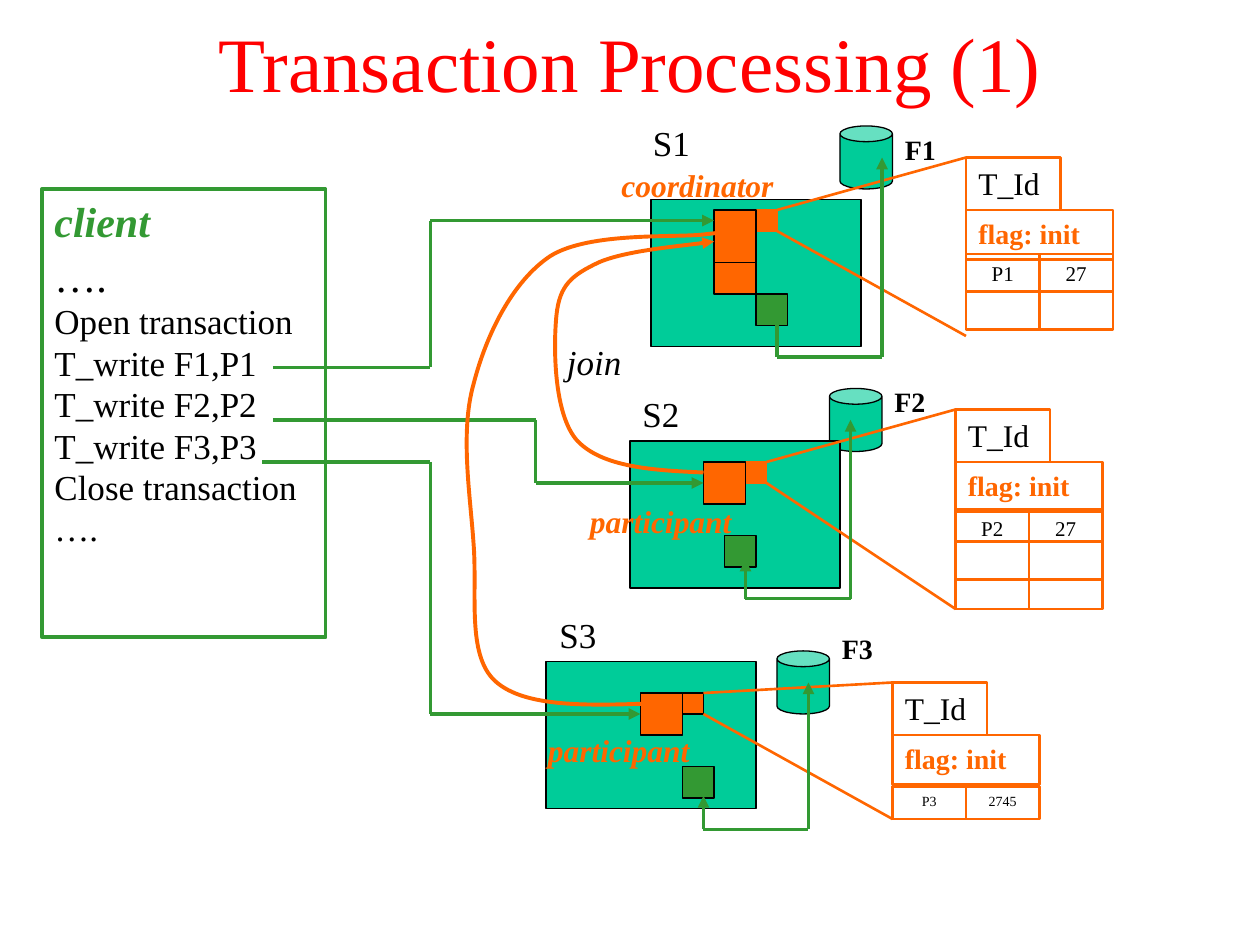
"""Build the Transaction Processing slide: a client, three servers and their files."""
from itertools import pairwise

from lxml import etree
from pptx import Presentation
from pptx.dml.color import RGBColor
from pptx.enum.shapes import MSO_CONNECTOR, MSO_SHAPE
from pptx.enum.text import MSO_ANCHOR, PP_ALIGN
from pptx.oxml.ns import qn
from pptx.util import Pt

PX = 7620
FONT = "Times New Roman"
RED = RGBColor(0xFF, 0x00, 0x00)
ORANGE = RGBColor(0xFF, 0x66, 0x00)
GREEN = RGBColor(0x33, 0x99, 0x33)
TEAL = RGBColor(0x00, 0xCC, 0x99)
BLACK = RGBColor(0x00, 0x00, 0x00)
RECTANGLE, CAN = MSO_SHAPE.RECTANGLE, MSO_SHAPE.CAN
STRAIGHT = MSO_CONNECTOR.STRAIGHT
LEFT, CENTER = PP_ALIGN.LEFT, PP_ALIGN.CENTER
TOP, MIDDLE = MSO_ANCHOR.TOP, MSO_ANCHOR.MIDDLE

presentation = Presentation()
presentation.slide_width = 1200 * PX
presentation.slide_height = 900 * PX
slide = presentation.slides.add_slide(presentation.slide_layouts[5])
shapes = slide.shapes


def add_box(left, top, width, height, kind=RECTANGLE, fill=None, outline=None, weight=0.75,
            text="", size=18, color=BLACK, bold=False, italic=False, align=LEFT, wrap=True):
    bounds = [length * PX for length in (left, top, width, height)]
    if outline is None:
        shape = shapes.add_textbox(*bounds)
    else:
        shape = shapes.add_shape(kind, *bounds)
        shape.shadow.inherit = False
        shape.line.color.rgb = outline
        shape.line.width = Pt(weight)
        if fill is None:
            shape.fill.background()
        else:
            shape.fill.solid()
            shape.fill.fore_color.rgb = fill
    frame = shape.text_frame
    frame.word_wrap = wrap
    frame.vertical_anchor = TOP
    frame.text = text
    for paragraph in frame.paragraphs:
        paragraph.alignment = align
        font = paragraph.font
        font.name, font.size, font.color.rgb = FONT, Pt(size), color
        font.bold, font.italic = bold, italic
    return shape


def add_line(start, end, color, weight, arrow=False):
    line = shapes.add_connector(STRAIGHT, *[length * PX for length in (*start, *end)])
    line.line.color.rgb = color
    line.line.width = Pt(weight)
    if arrow:
        etree.SubElement(line.line._get_or_add_ln(), qn("a:tailEnd"), type="triangle")
    etree.SubElement(line._element.spPr, qn("a:effectLst"))
    return line


title = shapes.title
title.left, title.top, title.width, title.height = 0, 4 * PX, 1200 * PX, 110 * PX
title.text_frame.text = "Transaction Processing (1)"
title.text_frame.vertical_anchor = MIDDLE
heading = title.text_frame.paragraphs[0]
heading.alignment = CENTER
heading.font.name, heading.font.size, heading.font.color.rgb = FONT, Pt(44), RED

client_lines = ["client", "….", "Open transaction", "T_write F1,P1", "T_write F2,P2",
                "T_write F3,P3", "Close transaction", "…."]
client = add_box(40, 180, 270, 427, outline=GREEN, weight=2.25,
                 text="\n".join(client_lines), size=20)
client_name, first_dots, *steps = client.text_frame.paragraphs
client_name.font.size = first_dots.font.size = Pt(24)
client_name.font.bold = client_name.font.italic = True
client_name.font.color.rgb = GREEN
for paragraph in (first_dots, *steps):
    paragraph.line_spacing = 0.55
    paragraph.space_before = Pt(10.5)
first_dots.space_before = Pt(14)

servers = [
    dict(name="S1", name_at=(610, 110), box=(620, 190), can=(800, 120),
         file="F1", file_at=(850, 120), role="coordinator", role_at=(580, 152),
         block=(680, 200), block_height=50, tag_outline=ORANGE, store=(720, 280),
         record=(920, 150), zoom_end=320, cells_top=242, rows=(36, 36),
         values=("P1", "27"), value_size=12,
         file_wire=[(740, 298), (740, 340), (840, 340), (840, 150)],
         client_wire=[(260, 350), (410, 350), (410, 210), (680, 210)]),
    dict(name="S2", name_at=(600, 368), box=(600, 420), can=(790, 370),
         file="F2", file_at=(840, 360), role="participant", role_at=(550, 472),
         block=(670, 440), block_height=40, tag_outline=ORANGE, store=(690, 510),
         record=(910, 390), zoom_end=580, cells_top=485, rows=(31, 36, 28),
         values=("P2", "27"), value_size=12,
         file_wire=[(710, 533), (710, 570), (810, 570), (810, 400)],
         client_wire=[(260, 400), (510, 400), (510, 460), (670, 460)]),
    dict(name="S3", name_at=(521, 578), box=(520, 630), can=(740, 620),
         file="F3", file_at=(790, 596), role="participant", role_at=(510, 690),
         block=(610, 660), block_height=40, tag_outline=BLACK, store=(650, 730),
         record=(850, 650), zoom_end=780, cells_top=749, rows=(31,),
         values=("P3", "2745"), value_size=8,
         file_wire=[(670, 758), (670, 790), (770, 790), (770, 650)],
         client_wire=[(250, 440), (410, 440), (410, 680), (610, 680)]),
]

for server in servers:
    can = add_box(*server["can"], 50, 60, kind=CAN, fill=TEAL, outline=BLACK)
    can.adjustments[0] = 0.3
    add_box(*server["file_at"], 60, 44, text=server["file"], size=16, bold=True)
    add_box(*server["box"], 200, 140, fill=TEAL, outline=BLACK)
    add_box(*server["name_at"], 59, 52, text=server["name"], size=20, wrap=False)

    block_left, block_top = server["block"]
    tag_left = block_left + 40
    add_box(tag_left, block_top, 20, 20, fill=ORANGE, outline=server["tag_outline"])
    block = add_box(block_left, block_top, 40, server["block_height"],
                    fill=ORANGE, outline=BLACK)
    if server["name"] == "S1":
        add_box(block_left, block_top + 50, 40, 30, fill=ORANGE, outline=BLACK)
    add_box(*server["store"], 30, 30, fill=GREEN, outline=BLACK)

    record_left, record_top = server["record"]
    add_line((tag_left + 20, block_top), (record_left, record_top), ORANGE, 1.5)
    add_line((tag_left + 20, block_top + 20), (record_left, server["zoom_end"]), ORANGE, 1.5)
    add_box(record_left, record_top, 90, 50, outline=ORANGE, weight=1.5, text="T_Id")
    add_box(record_left, record_top + 50, 140, 47, outline=ORANGE, weight=1.5,
            text="flag: init", size=16, color=ORANGE, bold=True)
    row_top = server["cells_top"]
    for row, row_height in enumerate(server["rows"]):
        for column, value in enumerate(server["values"]):
            add_box(record_left + 70 * column, row_top, 70, row_height, outline=ORANGE,
                    weight=1.5, text="" if row else value,
                    size=server["value_size"], align=CENTER)
        row_top += row_height

    store_end, corner, turn, file_end = server["file_wire"]
    add_line(corner, store_end, GREEN, 2.25, arrow=True)
    add_line(corner, turn, GREEN, 2.25)
    add_line(turn, file_end, GREEN, 2.25, arrow=True)

    *bends, block_end = server["client_wire"]
    for start, end in pairwise(bends):
        add_line(start, end, GREEN, 2.25)
    request = add_line(bends[-1], block_end, GREEN, 2.25, arrow=True)
    if block_end[1] == block_top + server["block_height"] // 2:
        request.end_connect(block, 1)

    add_box(*server["role_at"], 170, 48, text=server["role"], color=ORANGE,
            bold=True, italic=True)

add_box(528, 318, 102, 52, text="join", size=20, italic=True)

join_curves = [
    [(670, 450), (622, 448), (574, 445), (550, 420), (527, 395), (527, 329), (530, 300),
     (533, 271), (545, 262), (570, 250), (595, 239), (661, 233), (680, 230)],
    [(620, 670), (560, 672), (500, 674), (472, 649), (444, 624), (455, 565), (451, 517),
     (448, 472), (438, 412), (451, 366), (463, 319), (488, 268), (524, 244),
     (562, 220), (647, 227), (673, 223), (700, 220), (692, 222), (684, 223)],
]
for start, *controls in join_curves:
    builder = shapes.build_freeform(*start, scale=PX)
    builder.add_line_segments(controls, close=False)
    curve = builder.convert_to_shape()
    curve.shadow.inherit = False
    curve.fill.background()
    curve.line.color.rgb = ORANGE
    curve.line.width = Pt(2.25)
    etree.SubElement(curve.line._get_or_add_ln(), qn("a:tailEnd"), type="triangle")
    outline = next(curve._element.iter(qn("a:path")))
    segments = outline.findall(qn("a:lnTo"))
    for index in range(0, len(segments), 3):
        bezier = etree.SubElement(outline, qn("a:cubicBezTo"))
        for segment in segments[index:index + 3]:
            bezier.append(segment[0])
            outline.remove(segment)

presentation.save("out.pptx")
